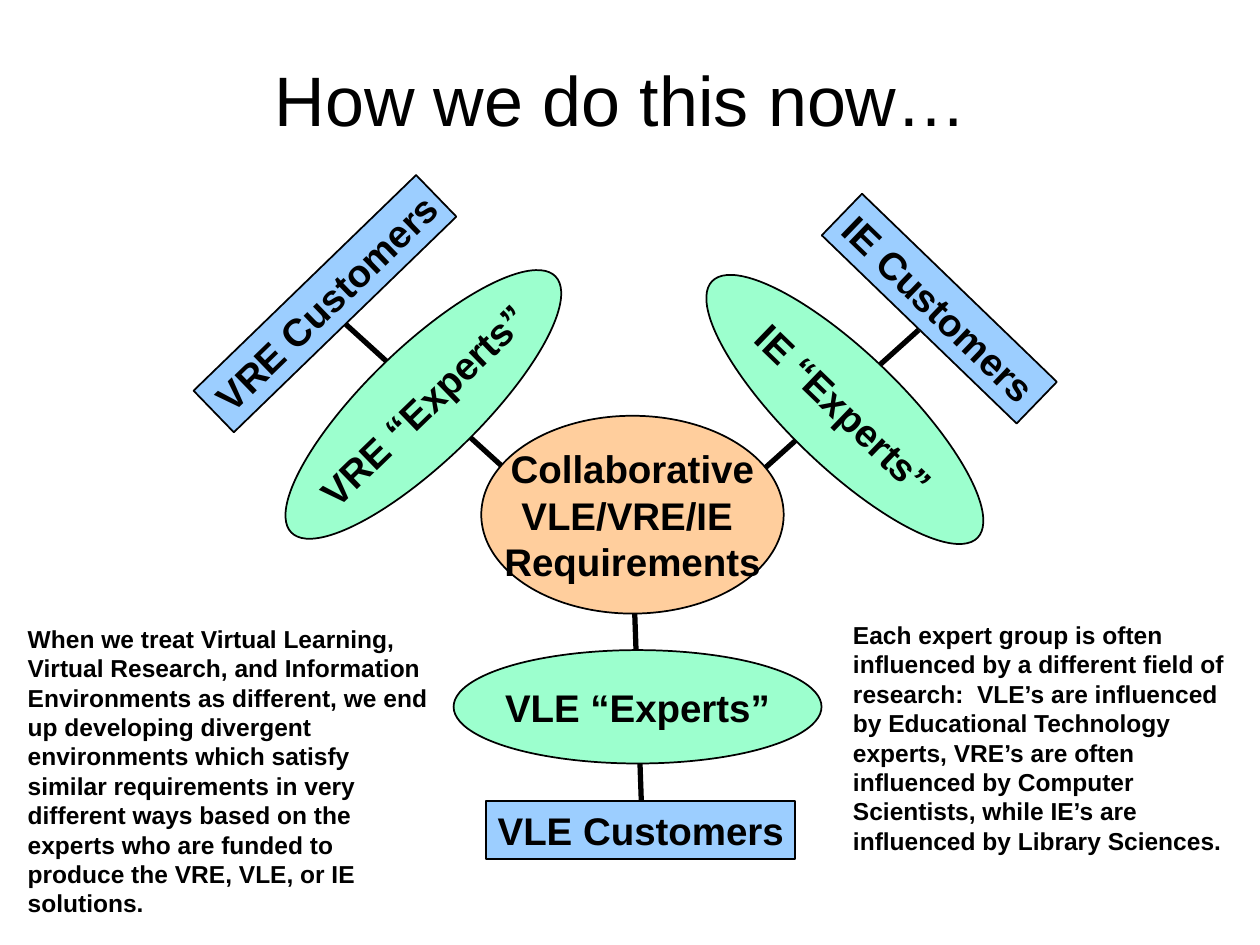
from pptx import Presentation
from pptx.dml.color import RGBColor
from pptx.enum.shapes import MSO_CONNECTOR, MSO_SHAPE
from pptx.enum.text import MSO_ANCHOR, PP_ALIGN
from pptx.oxml.ns import qn
from pptx.util import Inches, Pt
from lxml.etree import SubElement

COLORS = {"ink": "000000", "hub": "FFCE9D", "expert": "9CFFCE", "client": "9CCEFF"}
HUB = (5.03, 4.65)


class Board:
    """Holds the style and the slide being drawn."""

    font = "Arial"

    def __init__(self, slide):
        self.slide = slide

    def color(self, name):
        return RGBColor.from_string(COLORS[name])

    def fill_text(self, shape, text, size, bold=True, align=PP_ALIGN.LEFT,
                  anchor=MSO_ANCHOR.TOP, wrap=True):
        frame = shape.text_frame
        frame.word_wrap = wrap
        frame.vertical_anchor = anchor
        frame.margin_left = frame.margin_right = Inches(0.09)
        frame.margin_top = frame.margin_bottom = Inches(0.04)
        frame.text = text
        for para in frame.paragraphs:
            para.alignment = align
            para.font.name = self.font
            para.font.size = Pt(size)
            para.font.bold = bold
            para.font.color.rgb = self.color("ink")

    def text(self, box, text, size, **style):
        shape = self.slide.shapes.add_textbox(*map(Inches, box))
        self.fill_text(shape, text, size, **style)

    def node(self, kind, box, fill, text, turn=0, align=PP_ALIGN.CENTER):
        shape = self.slide.shapes.add_shape(kind, *map(Inches, box))
        shape.rotation = turn
        shape.shadow.inherit = False
        shape.fill.solid()
        shape.fill.fore_color.rgb = self.color(fill)
        shape.line.color.rgb = self.color("ink")
        shape.line.width = Pt(1)
        self.fill_text(shape, text, 22, align=align,
                       anchor=MSO_ANCHOR.MIDDLE, wrap=False)

    def oval(self, box, fill, text, turn=0):
        self.node(MSO_SHAPE.OVAL, box, fill, text, turn)

    def label(self, box, text, turn=0):
        self.node(MSO_SHAPE.RECTANGLE, box, "client", text, turn, PP_ALIGN.LEFT)

    def spoke(self, start):
        """Draw a line from a customer group to the hub."""
        line = self.slide.shapes.add_connector(
            MSO_CONNECTOR.STRAIGHT, *map(Inches, start + HUB))
        line.line.color.rgb = self.color("ink")
        line.line.width = Pt(3)
        SubElement(line._element.spPr, qn("a:effectLst"))


def main():
    deck = Presentation()
    deck.slide_width, deck.slide_height = Inches(10), Inches(7.5)
    board = Board(deck.slides.add_slide(deck.slide_layouts[6]))

    for start in ((5.09, 6.36), (7.29, 2.62), (2.74, 2.57)):
        board.spoke(start)

    board.text((0.3, 0.3, 9.25, 0.96), "How we do this now…", 40, bold=False,
               align=PP_ALIGN.CENTER, anchor=MSO_ANCHOR.MIDDLE)
    board.oval((3.82, 3.3, 2.4, 1.57), "hub",
               "Collaborative\nVLE/VRE/IE \nRequirements")

    groups = (
        ("VLE", 0, (3.6, 5.16, 2.92, 0.9), (3.86, 6.36, 2.45, 0.46)),
        ("VRE", 315.9, (1.9, 2.76, 2.92, 0.9), (1.35, 2.18, 2.46, 0.46)),
        ("IE", 44, (5.24, 2.8, 2.93, 0.9), (6.38, 2.22, 2.15, 0.46)),
    )
    for name, turn, oval, label in groups:
        board.oval(oval, "expert", f"{name} “Experts”", turn)
        board.label(label, f"{name} Customers", turn)

    board.text((0.13, 4.91, 3.39, 2.42),
               "When we treat Virtual Learning, Virtual Research, and Information "
               "Environments as different, we end up developing divergent "
               "environments which satisfy similar requirements in very different "
               "ways based on the experts who are funded to produce the VRE, VLE, "
               "or IE solutions.", 14)
    board.text((6.68, 4.88, 3.14, 1.96),
               "Each expert group is often influenced by a different field of "
               "research:  VLE’s are influenced by Educational Technology experts, "
               "VRE’s are often influenced by Computer Scientists, while IE’s are "
               "influenced by Library Sciences.", 14)
    deck.save("out.pptx")


if __name__ == "__main__":
    main()
